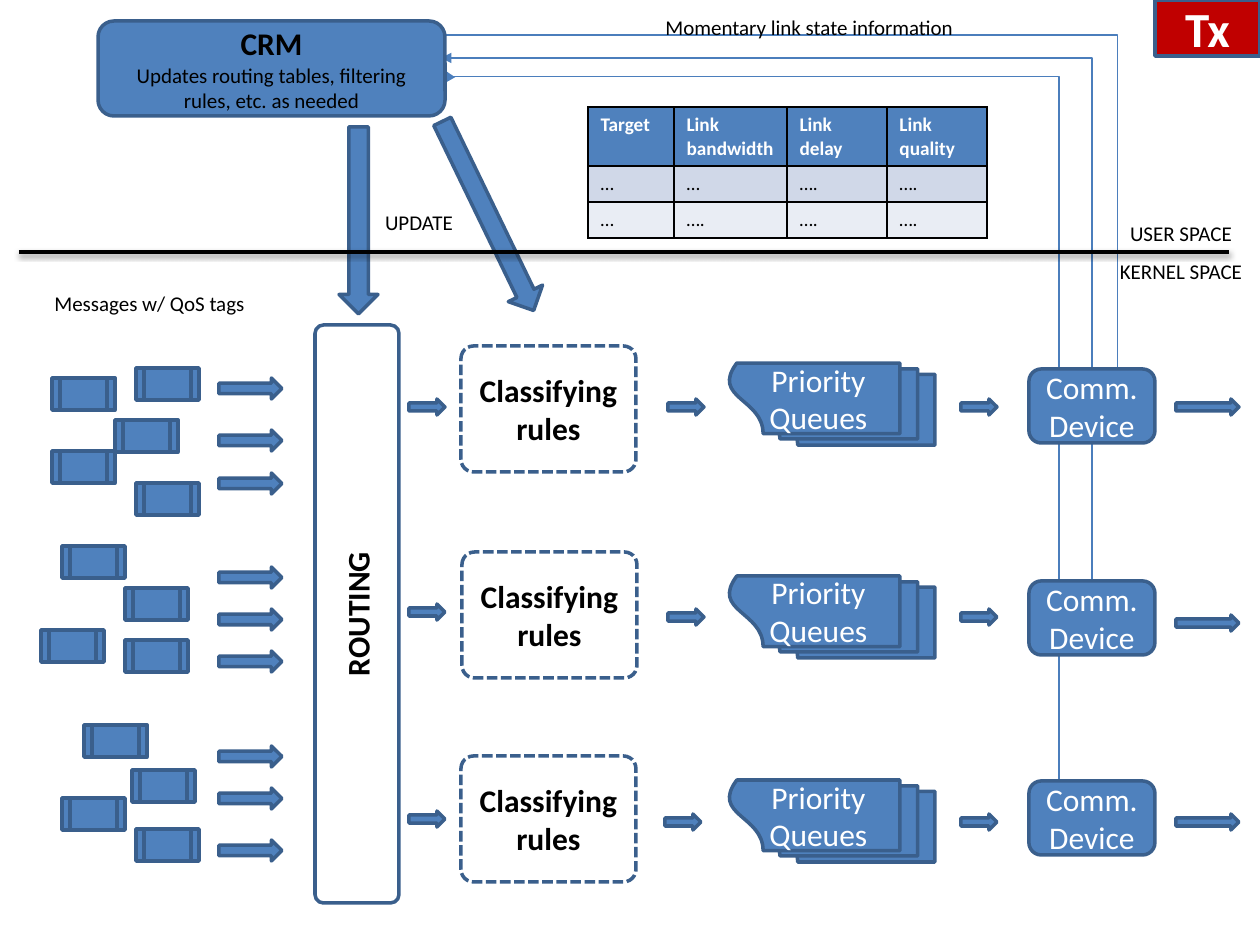
"""Build the Tx slide: CRM updating routing, classifying rules and queues."""
from lxml import etree
from pptx import Presentation
from pptx import util as u
from pptx.dml import color
from pptx.enum import dml, shapes, text
from pptx.oxml import ns

SCALE = 914400 / 126
FONT = "Calibri"
COLORS = {"blue": "4F81BD", "outline": "3A5F8C", "link": "4B7EBC", "black": "000000",
          "white": "FFFFFF", "red": "C00000", "band": "D0D8E8", "light": "E9EDF4"}
KIND = shapes.MSO_SHAPE
CENTER = text.PP_ALIGN.CENTER


def rgb(name):
    return color.RGBColor.from_string(COLORS[name])


def px(*lengths):
    return [u.Emu(round(length * SCALE)) for length in lengths]


def style_text(frame, content, size, ink, bold=False, align=CENTER):
    frame.word_wrap = True
    frame.text = content
    for paragraph in frame.paragraphs:
        paragraph.alignment = align
        for run in paragraph.runs:
            run.font.name, run.font.size, run.font.bold = FONT, u.Pt(size), bold
            run.font.color.rgb = rgb(ink)


def add_shape(kind, box, fill="blue", radius=None, rotation=0):
    shape = slide.shapes.add_shape(kind, *px(*box))
    shape.shadow.inherit = False
    shape.rotation = rotation
    if fill:
        shape.fill.solid()
        shape.fill.fore_color.rgb = rgb(fill)
    else:
        shape.fill.background()
    shape.line.color.rgb = rgb("outline")
    shape.line.width = u.Pt(2)
    if radius:
        shape.adjustments[0] = radius
    return shape


presentation = Presentation()
presentation.slide_width, presentation.slide_height = px(1260, 945)
slide = presentation.slides.add_slide(presentation.slide_layouts[6])

link_routes = [
    ((427, 35, 1116, 369), 180, "bentConnector3", -200),
    ((505, 645, 1028, -6), 270, "bentConnector2", None),
    ((403, 739, 1101, 125), 270, "bentConnector3", 100900),
]
for ends, rotation, preset, bend in link_routes:
    connector = slide.shapes.add_connector(shapes.MSO_CONNECTOR.ELBOW, *px(*ends))
    connector.line.color.rgb = rgb("link")
    connector.line.width = u.Pt(0.75)
    properties = connector.element.spPr
    properties.find(ns.qn("a:xfrm")).set("rot", str(rotation * 60000))
    geometry = properties.find(ns.qn("a:prstGeom"))
    geometry.set("prst", preset)
    if bend is not None:
        guides = geometry.find(ns.qn("a:avLst"))
        etree.SubElement(guides, ns.qn("a:gd"), name="adj1", fmla=f"val {bend}")
    etree.SubElement(properties.find(ns.qn("a:ln")), ns.qn("a:tailEnd"), type="triangle")
    etree.SubElement(properties, ns.qn("a:effectLst"))

messages = [(136, 368), (52, 378), (52, 451), (115, 420), (136, 483),
            (62, 546), (41, 630), (125, 640), (125, 588),
            (84, 725), (62, 798), (132, 770), (136, 829)]
for left, top in messages:
    add_shape(KIND.FLOWCHART_PREDEFINED_PROCESS, (left, top, 63, 32))
for top in (378, 430, 473, 567, 609, 651, 746, 788, 840):
    add_shape(KIND.RIGHT_ARROW, (219, top, 63, 21))

crm = add_shape(KIND.ROUNDED_RECTANGLE, (98, 21, 347, 95))
style_text(crm.text_frame, "CRM\nUpdates routing tables, filtering rules, etc. as needed", 12, "black")
heading = crm.text_frame.paragraphs[0].runs[0].font
heading.size, heading.bold = u.Pt(18), True

routing = add_shape(KIND.ROUNDED_RECTANGLE, (315, 325, 84, 578), None, 0.1)
style_text(routing.text_frame, "ROUTING", 18, "black", True)
routing.text_frame._txBody.bodyPr.set("vert", "vert270")

add_shape(KIND.RIGHT_ARROW, (265, 201, 187, 39), rotation=90)
add_shape(KIND.RIGHT_ARROW, (383, 197, 210, 38), rotation=64.2)

lanes = [
    ((461, 346), 301, 369, [(409, 399), (668, 399), (961, 399), (1176, 399)]),
    ((462, 552), 514, 581, [(409, 604), (668, 609), (961, 609), (1176, 615)]),
    ((461, 756), 718, 781, [(409, 811), (665, 814), (961, 814), (1176, 814)]),
]
for rules_corner, queue_top, device_top, arrows in lanes:
    rules = add_shape(KIND.ROUNDED_RECTANGLE, (*rules_corner, 175, 126), None, 0.1)
    rules.line.dash_style = dml.MSO_LINE.SQUARE_DOT
    style_text(rules.text_frame, "Classifying rules", 18, "black", True)
    queues = add_shape(KIND.FLOWCHART_MULTIDOCUMENT, (791, queue_top, 82, 206), rotation=90)
    style_text(queues.text_frame, "Priority\nQueues", 18, "white")
    queues.text_frame._txBody.bodyPr.set("vert", "vert270")
    device = add_shape(KIND.ROUNDED_RECTANGLE, (1029, device_top, 126, 74))
    style_text(device.text_frame, "Comm.\nDevice", 18, "white")
    for (left, top), width in zip(arrows, (36, 36, 36, 63)):
        add_shape(KIND.RIGHT_ARROW, (left, top, width, 16))

divider = slide.shapes.add_connector(shapes.MSO_CONNECTOR.STRAIGHT, *px(19, 252, 1229, 252))
divider.line.color.rgb = rgb("black")
divider.line.width = u.Pt(2)
effects = etree.SubElement(divider.element.spPr, ns.qn("a:effectLst"))
shadow = etree.SubElement(effects, ns.qn("a:outerShdw"), blurRad=str(u.Pt(3.1)),
                          dist=str(u.Pt(1.6)), dir="5400000", rotWithShape="0")
shade = etree.SubElement(shadow, ns.qn("a:srgbClr"), val=COLORS["black"])
etree.SubElement(shade, ns.qn("a:alpha"), val="38000")

labels = [
    ("Messages w/ QoS tags", (42, 284, 262, 38), text.PP_ALIGN.LEFT),
    ("Momentary link state information", (653, 8, 336, 38), text.PP_ALIGN.LEFT),
    ("UPDATE", (363, 203, 112, 38), CENTER),
    ("USER SPACE", (1102, 214, 158, 38), CENTER),
    ("KERNEL SPACE", (1102, 252, 158, 38), CENTER),
]
for content, box, align in labels:
    label = slide.shapes.add_textbox(*px(*box))
    style_text(label.text_frame, content, 12, "black", align=align)

rows = [["Target", "Link bandwidth", "Link delay", "Link quality"],
        ["…", "…", "….", "…."],
        ["…", "….", "….", "…."]]
table = slide.shapes.add_table(3, 4, *px(588, 107, 399, 131)).table
for column, width in zip(table.columns, px(86, 113, 100, 100)):
    column.width = width
for row, height in zip(table.rows, px(59, 36, 36)):
    row.height = height
for row_index, (contents, fill) in enumerate(zip(rows, ("blue", "band", "light"))):
    header = row_index == 0
    for column_index, content in enumerate(contents):
        cell = table.cell(row_index, column_index)
        style_text(cell.text_frame, content, 11, "white" if header else "black",
                   header, text.PP_ALIGN.LEFT)
        properties = cell._tc.get_or_add_tcPr()
        for side in ("lnL", "lnR", "lnT", "lnB"):
            border = etree.SubElement(properties, ns.qn(f"a:{side}"), w=str(u.Pt(1)))
            paint = etree.SubElement(border, ns.qn("a:solidFill"))
            etree.SubElement(paint, ns.qn("a:srgbClr"), val=COLORS["black"])
        cell.fill.solid()
        cell.fill.fore_color.rgb = rgb(fill)

badge = add_shape(KIND.RECTANGLE, (1155, 0, 105, 56), "red")
style_text(badge.text_frame, "Tx", 28, "white", True)

presentation.save("out.pptx")
